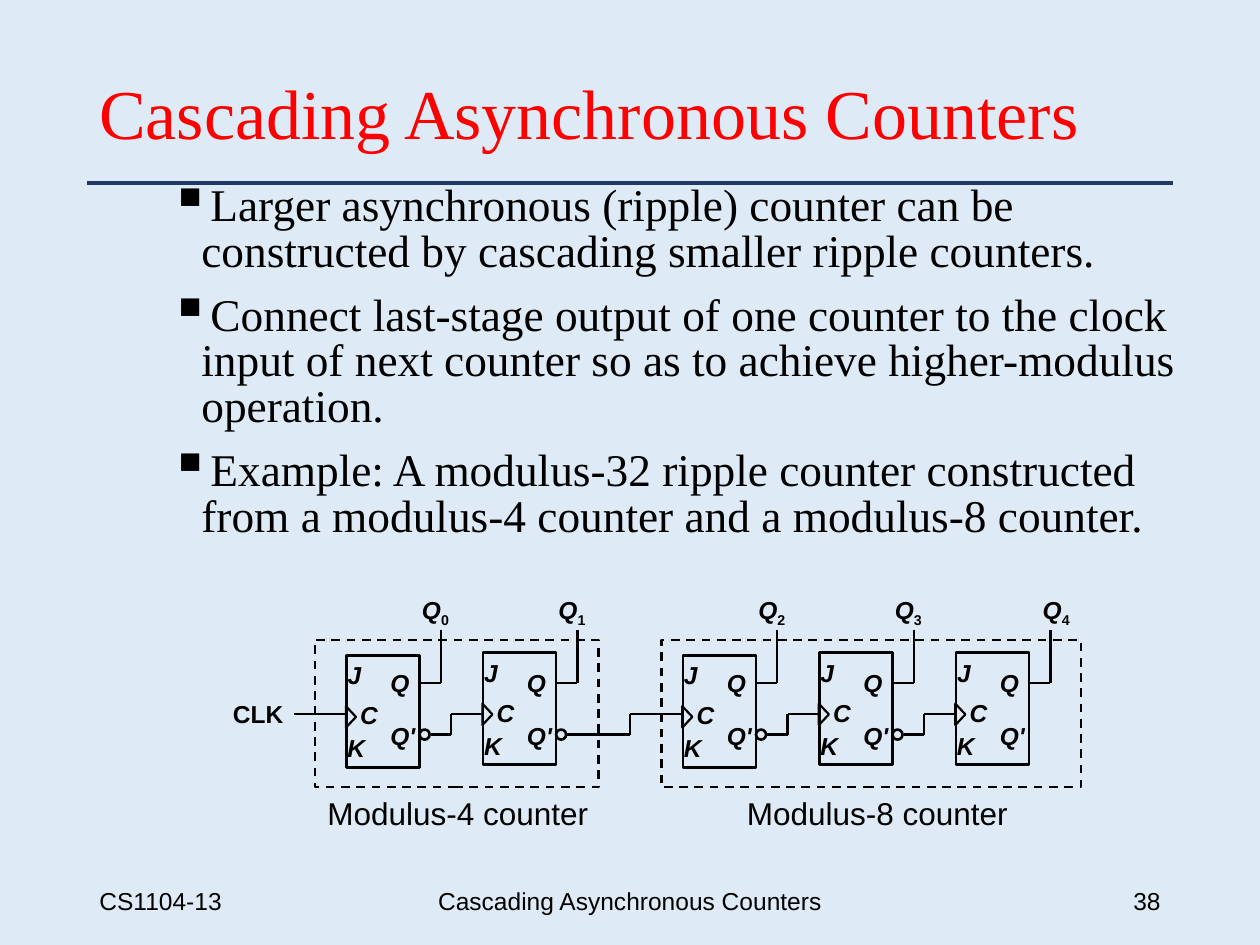
import dataclasses
import pptx
import pptx.dml.color
import pptx.enum.dml
import pptx.enum.shapes
import pptx.enum.text
import pptx.oxml
import pptx.oxml.ns
import pptx.util

Inches = pptx.util.Inches
Pt = pptx.util.Pt
Align = pptx.enum.text.PP_ALIGN
Anchor = pptx.enum.text.MSO_ANCHOR
Shape = pptx.enum.shapes.MSO_SHAPE


@dataclasses.dataclass(frozen=True)
class Theme:
    back: str = "DEEBF7"
    ink: str = "000000"
    red: str = "FF0000"
    navy: str = "203864"
    serif: str = "Times New Roman"
    sans: str = "Arial"
    title: float = 40
    body: float = 25.9
    name: float = 18
    label: float = 14
    rule: float = 2.25
    edge: float = 1.5
    wire: float = 1.25


@dataclasses.dataclass(frozen=True)
class Box:
    left: float
    top: float
    width: float
    height: float

    def lengths(self):
        return [Inches(n) for n in (self.left, self.top, self.width, self.height)]


THEME = Theme()
PITCH = 13 / 12
LEAD = 5.67
TAIL = 5.83
POINTS = (
    "Larger asynchronous (ripple) counter can be constructed by cascading smaller ripple counters.",
    "Connect last-stage output of one counter to the clock input of next counter "
    "so as to achieve higher-modulus operation.",
    "Example: A modulus-32 ripple counter constructed from a modulus-4 counter and a modulus-8 counter.",
)


def color(code):
    return pptx.dml.color.RGBColor.from_string(code)


def style(font, size, face=THEME.sans, ink=THEME.ink, bold=False, slant=False):
    font.size = Pt(size)
    font.name = face
    font.color.rgb = color(ink)
    font.bold = bold
    font.italic = slant


def write(shapes, box, text, size, align=Align.LEFT, anchor=Anchor.TOP, wrap=True, **look):
    frame = shapes.add_textbox(*box.lengths()).text_frame
    frame.word_wrap = wrap
    frame.vertical_anchor = anchor
    frame.text = text
    for para in frame.paragraphs:
        para.alignment = align
        for run in para.runs:
            style(run.font, size, **look)
    return frame


def label(shapes, left, top, width, text, slant=True):
    box = Box(left, top, width, 0.33)
    return write(shapes, box, text, THEME.label, wrap=False, bold=True, slant=slant)


def line(shapes, start, end, width=THEME.wire, ink=THEME.ink):
    ends = [Inches(n) for n in (*start, *end)]
    link = shapes.add_connector(pptx.enum.shapes.MSO_CONNECTOR.STRAIGHT, *ends)
    link.line.width = Pt(width)
    link.line.color.rgb = color(ink)
    link._element.spPr.append(pptx.oxml.parse_xml(
        "<a:effectLst %s/>" % pptx.oxml.ns.nsdecls("a")))


def route(shapes, *stops):
    for start, end in zip(stops, stops[1:]):
        line(shapes, start, end)


def outline(shapes, kind, box, width):
    shape = shapes.add_shape(kind, *box.lengths())
    shape.shadow.inherit = False
    shape.fill.background()
    shape.line.color.rgb = color(THEME.ink)
    shape.line.width = Pt(width)
    return shape


def header(slide, box):
    write(slide.shapes, box, "Cascading Asynchronous Counters", THEME.title,
          anchor=Anchor.MIDDLE, face=THEME.serif, ink=THEME.red).paragraphs[0].line_spacing = 0.9
    base = box.top + box.height
    line(slide.shapes, (box.left, base), (box.left + box.width, base), THEME.rule, THEME.navy)


def points(slide, box):
    frame = write(slide.shapes, box, "\n".join(POINTS), THEME.body, face=THEME.serif)
    for order, para in enumerate(frame.paragraphs):
        para.line_spacing = 0.84
        para.space_before = Pt(10.4 if order else 0)
        props = para._p.get_or_add_pPr()
        props.set("marL", str(Inches(0.25)))
        props.set("indent", str(Inches(-0.25)))
        for tag, value in (("buSzPct", 'val="120000"'), ("buChar", 'char="▪"')):
            props.append(pptx.oxml.parse_xml(
                "<a:%s %s %s/>" % (tag, pptx.oxml.ns.nsdecls("a"), value)))


def footer(slide, box):
    parts = (
        (0, 2.25, "CS1104-13", Align.LEFT),
        (2.62, 3.38, "Cascading Asynchronous Counters", Align.CENTER),
        (6.37, 2.25, "38", Align.RIGHT),
    )
    for shift, width, text, align in parts:
        part = Box(box.left + shift, box.top, width, box.height)
        write(slide.shapes, part, text, THEME.label, align, Anchor.MIDDLE)


def flip(shapes, box, index, last):
    left, top = box.left, box.top
    outline(shapes, Shape.RECTANGLE, box, THEME.edge)
    notch = Box(left - 0.05, top + 0.45, 0.17, 0.08)
    outline(shapes, Shape.ISOSCELES_TRIANGLE, notch, THEME.wire).rotation = 90
    label(shapes, left - 0.09, top - 0.01, 0.31, "J")
    label(shapes, left + 0.01, top + 0.31, 0.34, "C")
    label(shapes, left - 0.09, top + 0.57, 0.34, "K")
    label(shapes, left + 0.25, 5.25, 0.35, "Q")
    label(shapes, left + 0.25, 5.67, 0.42, "Q'")

    mark = label(shapes, left + (0.59 if last else 0.5), 4.67, 0.42, "Q")
    digit = mark.paragraphs[0].add_run()
    digit.text = str(index)
    style(digit.font, THEME.label, bold=True)
    digit._r.get_or_add_rPr().set("baseline", "-25000")

    side = left + box.width
    route(shapes, (side, 5.42), (left + 0.75, 5.42), (left + 0.75, 5))
    if not last:
        outline(shapes, Shape.OVAL, Box(side, TAIL - 0.04, 0.08, 0.08), THEME.edge)


def counter(shapes, box, pad, first, count, final):
    frame = outline(shapes, Shape.RECTANGLE, box, THEME.wire)
    frame.line.dash_style = pptx.enum.dml.MSO_LINE.DASH
    for step in range(count):
        left = box.left + pad + step * PITCH
        drop = 0.1 if step else 0.12
        end = step == count - 1
        flip(shapes, Box(left, box.top + drop, 0.58, 0.89), first + step, final and end)
        if not end:
            bend = left + 0.83
            route(shapes, (left + 0.67, TAIL), (bend, TAIL), (bend, LEAD), (left + PITCH, LEAD))


def circuit(slide, box):
    shapes = slide.shapes.add_group_shape().shapes
    left, top = box.left, box.top
    label(shapes, left, top + 0.83, 0.6, "CLK", slant=False)
    line(shapes, (left + 0.58, LEAD), (left + 1, LEAD))
    counter(shapes, Box(left + 0.75, top + 0.41, 2.25, 1.17), 0.25, 0, 2, False)
    counter(shapes, Box(left + 3.5, top + 0.41, 3.33, 1.17), 0.17, 2, 3, True)
    bend = left + 3.25
    route(shapes, (left + 2.75, TAIL), (bend, TAIL), (bend, LEAD), (left + 3.67, LEAD))
    for shift, size in ((0.75, 4), (4.08, 8)):
        name = Box(left + shift, top + 1.58, 2.33, 0.4)
        write(shapes, name, f"Modulus-{size} counter", THEME.name)


def main():
    deck = pptx.Presentation()
    deck.slide_width, deck.slide_height = Inches(10), Inches(7.5)
    slide = deck.slides.add_slide(deck.slide_layouts[6])
    slide.background.fill.solid()
    slide.background.fill.fore_color.rgb = color(THEME.back)
    header(slide, Box(0.69, 0.4, 8.62, 1.05))
    points(slide, Box(1.25, 1.42, 8.33, 3.17))
    circuit(slide, Box(1.75, 4.67, 6.83, 1.98))
    footer(slide, Box(0.69, 6.95, 8.62, 0.4))
    deck.save("out.pptx")


if __name__ == "__main__":
    main()
